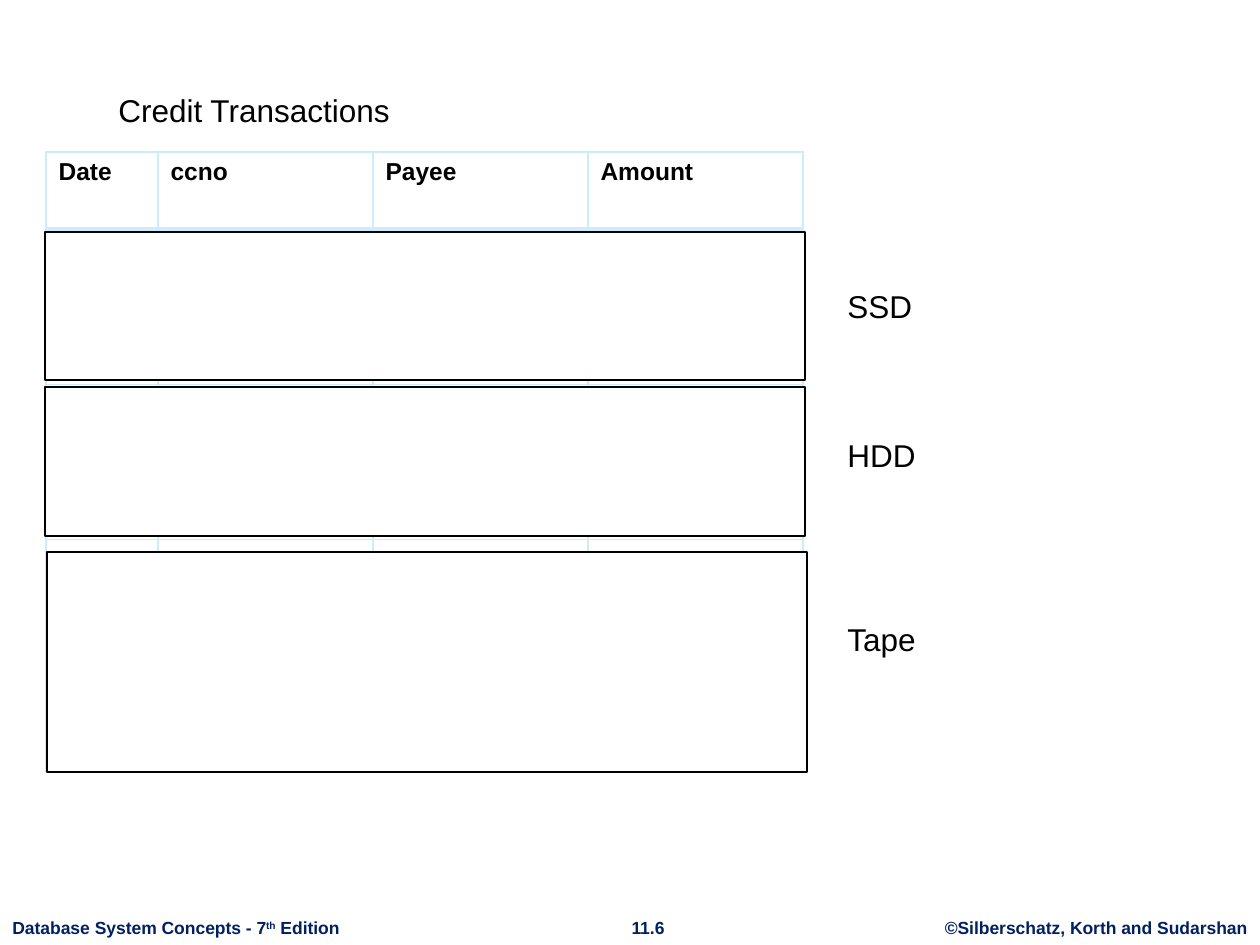
from lxml import etree
from pptx import Presentation
from pptx.dml.color import RGBColor
from pptx.enum.shapes import MSO_SHAPE
from pptx.enum.text import PP_ALIGN
from pptx.oxml.ns import qn
from pptx.util import Pt

RECT = MSO_SHAPE.RECTANGLE
LEFT, MID = PP_ALIGN.LEFT, PP_ALIGN.CENTER
SCALE = 914400 / 126
INK = {"text": "000000", "foot": "002060", "grid": "CCECFF", "fill": "FFFFFF"}


def px(*nums):
    """Turn pixel lengths into EMU."""
    return [round(n * SCALE) for n in nums]


def tint(name):
    """Look up a colour by name."""
    return RGBColor.from_string(INK[name])


def write(para, text, size, color="text", bold=False):
    """Add one styled run to a paragraph."""
    run = para.add_run()
    run.text = text
    font = run.font
    font.name, font.size, font.bold = "Arial", Pt(size), bold
    font.color.rgb = tint(color)
    return run


def label(slide, box, parts, size=18, color="text", bold=False, align=LEFT):
    """Place one line of text, with every second part raised."""
    frame = slide.shapes.add_textbox(*px(*box)).text_frame
    frame.word_wrap = False
    para = frame.paragraphs[0]
    para.alignment = align
    for i, part in enumerate(parts):
        run = write(para, part, size, color, bold)
        if i % 2:
            run.font._element.set("baseline", "30000")


def edge(cell, side, width):
    """Draw one border of a cell."""
    props = cell._tc.get_or_add_tcPr()
    line = etree.SubElement(props, qn("a:ln" + side), w=str(Pt(width)))
    fill = etree.SubElement(line, qn("a:solidFill"))
    etree.SubElement(fill, qn("a:srgbClr"), val=INK["grid"])


def grid(slide, box, heads, wides, count):
    """Place the table with its head row and empty rows."""
    table = slide.shapes.add_table(count, len(heads), *px(*box)).table
    table.first_row = table.horz_banding = False
    for col, wide in zip(table.columns, wides):
        col.width = px(wide)[0]
    for r in range(count):
        for c, head in enumerate(heads):
            cell = table.cell(r, c)
            for side in "LRTB":
                thick = (r, side) in ((0, "B"), (1, "T"))
                edge(cell, side, 3 if thick else 1)
            cell.fill.solid()
            cell.fill.fore_color.rgb = tint("fill")
            if r == 0:
                write(cell.text_frame.paragraphs[0], head, 14, bold=True)


def tier(slide, box, name, drop):
    """Cover some rows with a box and name its storage at the right."""
    x, y, w, h = box
    rect = slide.shapes.add_shape(RECT, *px(x, y, w, h))
    rect.shadow.inherit = False
    rect.fill.solid()
    rect.fill.fore_color.rgb = tint("fill")
    rect.line.color.rgb = tint("text")
    rect.line.width = Pt(0.75)
    label(slide, (835, y + drop, 94, 50), [name])


def foot(slide, box):
    """Place the book name, page number and copyright line."""
    x, y, w, h = box
    style = {"size": 10, "color": "foot", "bold": True}
    book = ["Database System Concepts - 7", "th", " Edition"]
    label(slide, (x, y, 354, h), book, **style)
    label(slide, (x + 612, y, 72, h), ["11.6"], align=MID, **style)
    owner = ["©Silberschatz, Korth and Sudarshan"]
    label(slide, (x + w - 328, y, 328, h), owner, align=MID, **style)


def main():
    """Build the slide and save it."""
    deck = Presentation()
    deck.slide_width, deck.slide_height = px(1260, 945)
    slide = deck.slides.add_slide(deck.slide_layouts[6])
    foot(slide, (0, 911, 1260, 34))
    heads = ["Date", "ccno", "Payee", "Amount"]
    grid(slide, (46, 152, 757, 620), heads, [112, 215, 215, 215], 8)
    label(slide, (106, 85, 300, 50), ["Credit Transactions"])
    tier(slide, (45, 232, 760, 148), "SSD", 49)
    tier(slide, (45, 387, 760, 149), "HDD", 43)
    tier(slide, (47, 552, 760, 220), "Tape", 62)
    deck.save("out.pptx")


if __name__ == "__main__":
    main()
